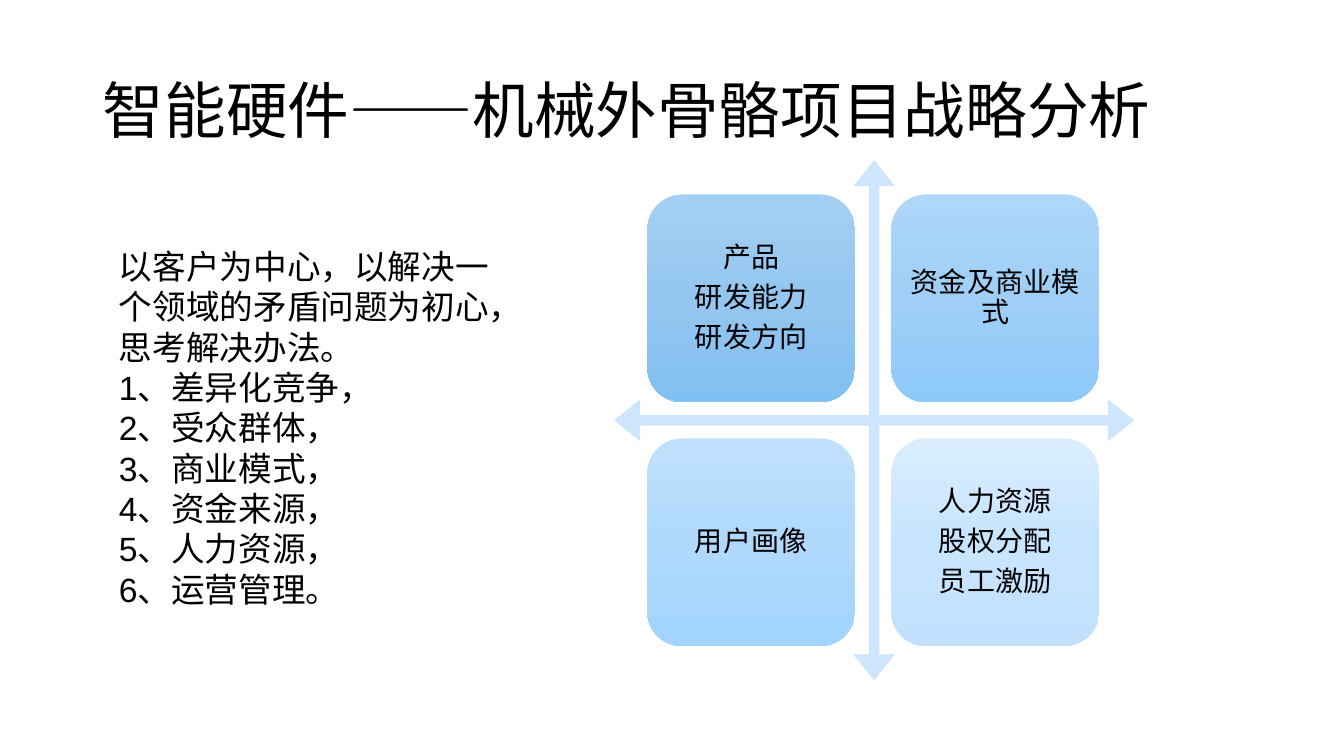
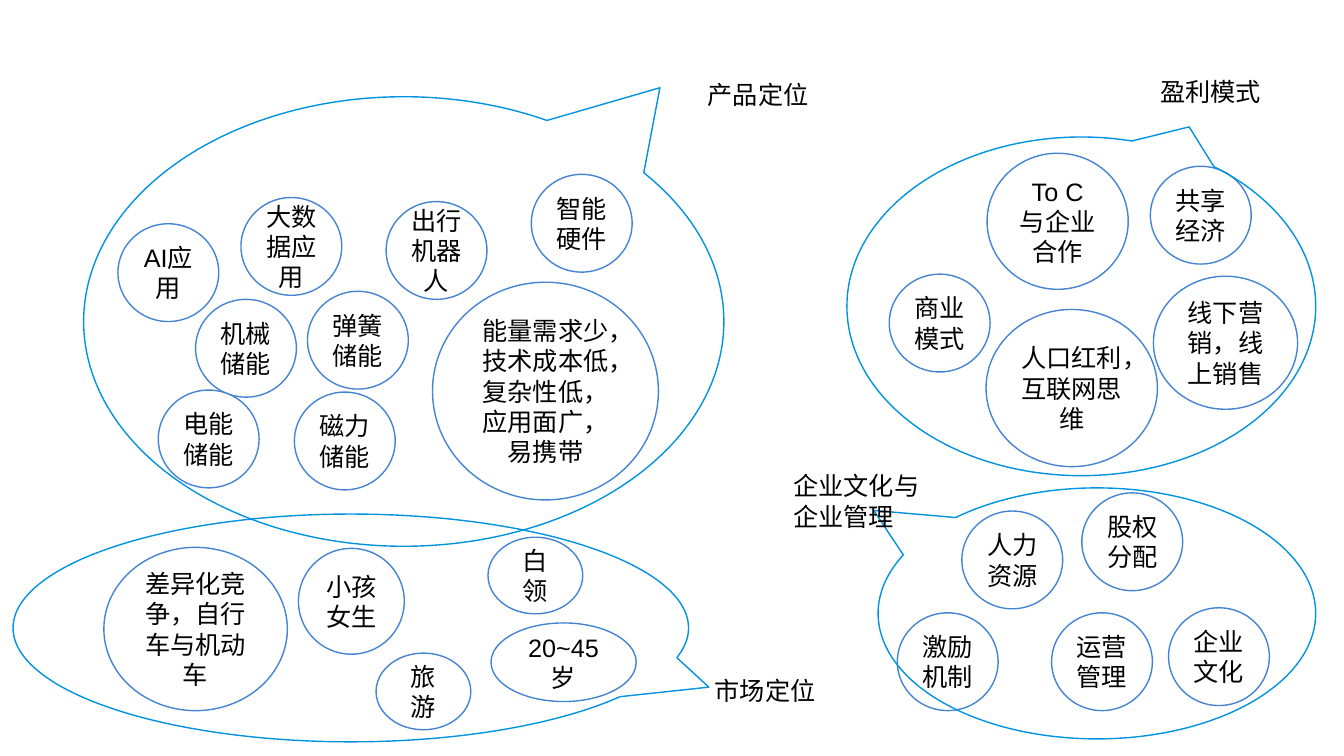
from copy import deepcopy

from pptx import Presentation
from pptx.dml.color import RGBColor
from pptx.enum.shapes import MSO_SHAPE
from pptx.enum.text import MSO_ANCHOR, MSO_AUTO_SIZE, PP_ALIGN
from pptx.oxml import parse_xml
from pptx.oxml.ns import nsdecls, qn
from pptx.util import Inches, Pt

ARROW = MSO_SHAPE.QUAD_ARROW
TILE = MSO_SHAPE.ROUNDED_RECTANGLE
OVAL = MSO_SHAPE.OVAL
DISC = MSO_SHAPE.FLOWCHART_CONNECTOR
CALL = MSO_SHAPE.OVAL_CALLOUT
LEFT, CENTER = PP_ALIGN.LEFT, PP_ALIGN.CENTER
MIDDLE, TOP = MSO_ANCHOR.MIDDLE, MSO_ANCHOR.TOP
FIXED = MSO_AUTO_SIZE.NONE

FONT = "Arial"
COLORS = {
    "text": "000000",
    "white": "FFFFFF",
    "arrow": "CEE5FE",
    "oval": "4584D3",
    "call": "0293E0",
}

TITLE = "智能硬件——机械外骨骼项目战略分析"
BODY = [
    "以客户为中心，以解决一个领域的矛盾问题为初心，思考解决办法。",
    "1、差异化竞争，",
    "2、受众群体，",
    "3、商业模式，",
    "4、资金来源，",
    "5、人力资源，",
    "6、运营管理。",
]
TILES = [
    (["产品", "研发能力", "研发方向"], ["A3CFF3", "95C6F0", "81C0F2"]),
    (["资金及商业模式"], ["AED7F9", "9FCFF7", "8DC9FA"]),
    (["用户画像"], ["C0E1FD", "B0D9FC", "A2D4FF"]),
    (["人力资源", "股权分配", "员工激励"], ["D9EDFF", "C8E5FF", "C1E1FF"]),
]

SMALL = (1, 0.97)
BACK = [
    ("出行机器人", 3.83, 2, SMALL),
    ("AI应用", 1.17, 2.22, SMALL),
    ("大数据应用", 2.39, 1.96, SMALL),
    ("智能硬件", 5.27, 1.73, SMALL),
    ("弹簧储能", 3.05, 2.89, SMALL),
    ("能量需求少，技术成本低，复杂性低，应用面广，易携带", 4.29, 2.8, (2.24, 2.16)),
    ("商业模式", 8.82, 2.72, SMALL),
    ("To C\n与企业合作", 9.79, 1.52, (1.4, 1.35)),
    ("共享经济", 11.41, 1.65, SMALL),
    ("人口红利，互联网思维", 9.78, 3.07, (1.7, 1.56)),
    ("人力资源", 9.54, 5.07, SMALL),
    ("股权分配", 10.73, 4.89, SMALL),
    ("运营管理", 10.43, 6.08, SMALL),
    ("企业文化", 11.59, 6.03, SMALL),
    ("激励机制", 8.9, 6.08, SMALL),
]
FRONT = [
    ("线下营销，线上销售", 11.44, 2.74, (1.43, 1.32)),
    ("机械储能", 1.94, 2.97, SMALL),
    ("电能储能", 1.57, 3.87, SMALL),
    ("磁力储能", 2.92, 3.89, SMALL),
]
PAIR = (0.94, 0.76)
DISCS = [
    ("差异化竞争，自行车与机动车", 1.03, 5.43, (1.82, 1.62)),
    ("小孩女生", 2.96, 5.44, (1.05, 1.05)),
    ("20~45岁", 4.87, 6.18, (1.44, 0.78)),
    ("白领", 4.84, 5.33, PAIR),
    ("旅游", 3.73, 6.48, PAIR),
]
CALLS = [
    ((0.83, 0.96, 6.35, 4.46), (0.4, -0.52), "产品定位", (6.92, 0.74, 1.37, 0.4)),
    ((8.4, 1.36, 4.65, 3.36), (0.23, -0.53), "盈利模式", (11.41, 0.71, 1.37, 0.4)),
    ((0.13, 5.1, 6.7, 2.26), (0.53, 0.26), "市场定位", (6.99, 6.65, 1.37, 0.4)),
    ((8.71, 4.84, 4.34, 2.49), (-0.51, -0.41), "企业文化与企业管理", (7.77, 4.62, 1.58, 0.71)),
]


def color(name):
    return RGBColor.from_string(COLORS.get(name, name))


def write(frame, lines, size, align=CENTER, anchor=MIDDLE, pitch=1.0, after=0):
    frame.word_wrap = True
    frame.auto_size = FIXED
    frame.vertical_anchor = anchor
    frame.text = "\n".join(lines)
    for para in frame.paragraphs:
        para.alignment = align
        para.line_spacing = pitch
        para.space_before = Pt(0)
        para.space_after = Pt(after)
        para.font.name = FONT
        para.font.size = Pt(size)
        para.font.color.rgb = color("text")


def place(shape, box):
    shape.left, shape.top, shape.width, shape.height = map(Inches, box)


def draw(slide, kind, box, fill=None, line=None, adjust=()):
    shape = slide.shapes.add_shape(kind, *map(Inches, box))
    shape.shadow.inherit = False
    for i, value in enumerate(adjust):
        shape.adjustments[i] = value
    if fill:
        shape.fill.solid()
        shape.fill.fore_color.rgb = color(fill)
    else:
        shape.fill.background()
    if line:
        shape.line.color.rgb = color(line)
        shape.line.width = Pt(1)
    else:
        shape.line.fill.background()
    return shape


def shade(shape, tones):
    shape.fill.gradient()
    shape.fill.gradient_angle = 270
    stops = shape._element.spPr.find(".//" + qn("a:gsLst"))
    stops.insert(1, deepcopy(stops[0]))
    for stop, spot, tone in zip(shape.fill.gradient_stops, (0, 0.5, 1), tones):
        stop.position = spot
        stop.color.rgb = color(tone)


def add_tile(slide, index, lines, tones):
    row, col = divmod(index, 2)
    side, step = 2.06, 2.42
    tile = draw(slide, TILE, (6.42 + col * step, 1.93 + row * step, side, side))
    shade(tile, tones)
    frame = tile.text_frame
    frame.margin_left = frame.margin_right = Inches(0.08)
    frame.margin_top = frame.margin_bottom = Inches(0.08)
    write(frame, lines, 20, pitch=0.9, after=7)


def add_ovals(slide, kind, items):
    for text, left, top, size in items:
        oval = draw(slide, kind, (left, top, *size), "white", "oval")
        write(oval.text_frame, text.split("\n"), 18)


def add_call(slide, box, tip, text, spot):
    draw(slide, CALL, box, line="call", adjust=tip)
    label = slide.shapes.add_textbox(*map(Inches, spot))
    write(label.text_frame, [text], 18, LEFT, TOP)


def fill_body(body):
    place(body, (1.08, 2.39, 4.03, 3.74))
    frame = body.text_frame
    frame.text = "\n".join(BODY)
    write(frame, BODY, 24, LEFT, TOP)
    for para in frame.paragraphs:
        props = para._p.get_or_add_pPr()
        props.set("marL", "0")
        props.set("indent", "0")
        bullet = parse_xml("<a:buNone %s/>" % nsdecls("a"))
        props.insert_element_before(bullet, "a:tabLst", "a:defRPr", "a:extLst")


def add_plan(deck):
    slide = deck.slides.add_slide(deck.slide_layouts[1])
    title = slide.shapes.title
    place(title, (0.92, 0.4, 11.5, 1.45))
    write(title.text_frame, [TITLE], 44, LEFT, pitch=0.9)
    fill_body(slide.placeholders[1])
    draw(slide, ARROW, (6.09, 1.59, 5.16, 5.16), "arrow", adjust=(0.02, 0.04, 0.05))
    for index, (lines, tones) in enumerate(TILES):
        add_tile(slide, index, lines, tones)


def add_map(deck):
    slide = deck.slides.add_slide(deck.slide_layouts[6])
    add_ovals(slide, OVAL, BACK)
    add_ovals(slide, DISC, DISCS[:3])
    for call in CALLS:
        add_call(slide, *call)
    add_ovals(slide, OVAL, FRONT)
    add_ovals(slide, DISC, DISCS[3:])


def main():
    deck = Presentation()
    deck.slide_width = Inches(13.33)
    deck.slide_height = Inches(7.5)
    add_plan(deck)
    add_map(deck)
    deck.save("out.pptx")


if __name__ == "__main__":
    main()
